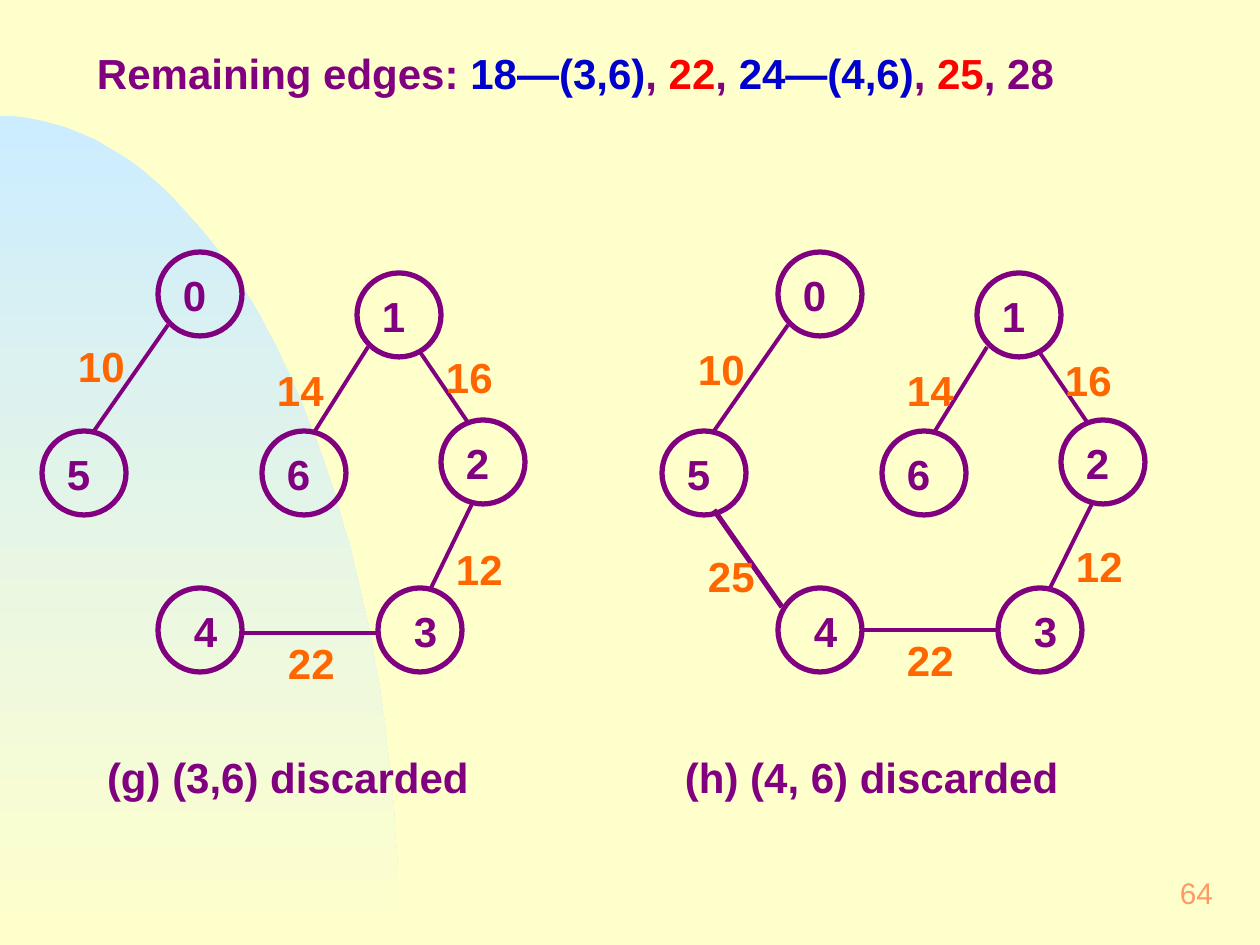
import pptx
import pptx.util
import pptx.dml.color
import pptx.enum.shapes
import pptx.enum.text
import pptx.oxml.ns
import lxml.etree

# Content
TITLE = [
    ("Remaining edges: ", "purple"), ("18—(3,6)", "blue"), (", ", "purple"),
    ("22", "red"), (", ", "purple"), ("24—(4,6)", "blue"), (", ", "purple"),
    ("25", "red"), (", 28", "purple"),
]
PAGE_NUMBER = "64"

# Node: left, top, label inset, label width (relative to its graph)
NODES = {
    "1": (357, 273, 10, 63),
    "0": (158, 252, 10, 63),
    "5": (42, 431, 10, 63),
    "2": (441, 420, 10, 63),
    "6": (262, 431, 10, 63),
    "4": (158, 588, 21, 63),
    "3": (378, 588, 21, 73),
}

# Edge: weight, start, end, weight position (relative to its graph), line width
GRAPHS = [
    {
        "left": 0,
        "caption": ("(g) (3,6) discarded", 94, 410),
        "edges": [
            ("10", (168, 325), (94, 431), (63, 333), 2.25),
            ("12", (472, 504), (431, 588), (441, 536), 2.25),
            ("14", (368, 347), (315, 431), (262, 357), 2.25),
            ("16", (420, 352), (467, 421), (431, 344), 2.25),
            ("22", (378, 633), (242, 633), (273, 630), 2.25),
        ],
    },
    {
        "left": 620,
        "caption": ("(h) (4, 6) discarded", 672, 536),
        "edges": [
            ("10", (168, 325), (94, 431), (63, 336), 2.25),
            ("12", (472, 504), (430, 588), (441, 533), 2.25),
            ("14", (367, 347), (315, 431), (272, 357), 2.25),
            ("16", (420, 353), (467, 422), (430, 347), 2.25),
            ("22", (378, 630), (241, 630), (272, 627), 2.25),
            ("25", (94, 510), (162, 607), (73, 543), 3),
        ],
    },
]

# Theme
THEME = {
    "font": "Arial", "text": 24, "number": 17, "ring": 3,
    "purple": "800080", "blue": "0000CC", "red": "FF0000", "orange": "FF6600",
    "peach": "FF9966", "sky": "CCECFF", "cream": "FFFFCC",
}
SCALE = 914400 // 126
NODE_SIZE = 84
LABEL_HEIGHT = 66
WEIGHT_WIDTH = 95
CURVE = [(0, 116), (220, 116), (399, 488), (399, 945)]
CURVE_STEPS = 60


def px(length):
    return pptx.util.Emu(round(length * SCALE))


def color(name):
    return pptx.dml.color.RGBColor.from_string(THEME[name])


def add_text(slide, box, runs, inset=(15, 8), size="text", bold=True,
             align=pptx.enum.text.PP_ALIGN.LEFT,
             anchor=pptx.enum.text.MSO_ANCHOR.TOP):
    frame = slide.shapes.add_textbox(*map(px, box)).text_frame
    frame.word_wrap = True
    frame.vertical_anchor = anchor
    frame.margin_left = frame.margin_right = px(inset[0])
    frame.margin_top = frame.margin_bottom = px(inset[1])
    paragraph = frame.paragraphs[0]
    paragraph.alignment = align
    for text, name in runs:
        run = paragraph.add_run()
        run.text = text
        run.font.name = THEME["font"]
        run.font.size = pptx.util.Pt(THEME[size])
        run.font.bold = bold
        run.font.color.rgb = color(name)


def add_edge(slide, start, end, width):
    line = slide.shapes.add_connector(
        pptx.enum.shapes.MSO_CONNECTOR.STRAIGHT, *map(px, start + end))
    line.line.color.rgb = color("purple")
    line.line.width = pptx.util.Pt(width)
    properties = line.element.find(pptx.oxml.ns.qn("p:spPr"))
    lxml.etree.SubElement(properties, pptx.oxml.ns.qn("a:effectLst"))


def add_node(slide, left, top):
    shape = slide.shapes.add_shape(
        pptx.enum.shapes.MSO_SHAPE.OVAL,
        px(left), px(top), px(NODE_SIZE), px(NODE_SIZE))
    shape.shadow.inherit = False
    shape.fill.background()
    shape.line.color.rgb = color("purple")
    shape.line.width = pptx.util.Pt(THEME["ring"])


def curve_point(t):
    weights = ((1 - t) ** 3, 3 * t * (1 - t) ** 2, 3 * t * t * (1 - t), t ** 3)
    return tuple(sum(w * point[axis] for w, point in zip(weights, CURVE))
                 for axis in (0, 1))


def add_backdrop(slide):
    slide.background.fill.solid()
    slide.background.fill.fore_color.rgb = color("cream")
    points = [curve_point(step / CURVE_STEPS) for step in range(CURVE_STEPS + 1)]
    points.append((0, 945))
    builder = slide.shapes.build_freeform(*points[0], scale=SCALE)
    builder.add_line_segments(points[1:], close=True)
    shape = builder.convert_to_shape()
    shape.shadow.inherit = False
    shape.line.fill.background()
    shape.fill.gradient()
    shape.fill.gradient_angle = 270
    for stop, position, name in zip(shape.fill.gradient_stops, (0, 1), ("sky", "cream")):
        stop.position = position
        stop.color.rgb = color(name)


def add_graph(slide, graph):
    left = graph["left"]
    for name, (x, y, inset, width) in NODES.items():
        add_node(slide, left + x, y)
        add_text(slide, (left + x + inset, y + 10, width, LABEL_HEIGHT),
                 [(name, "purple")])
    for weight, start, end, (x, y), width in graph["edges"]:
        add_edge(slide, (left + start[0], start[1]), (left + end[0], end[1]), width)
        add_text(slide, (left + x, y, WEIGHT_WIDTH, LABEL_HEIGHT),
                 [(weight, "orange")])
    caption, x, width = graph["caption"]
    add_text(slide, (x, 746, width, 63), [(caption, "purple")], inset=(13, 6))


def main():
    presentation = pptx.Presentation()
    presentation.slide_width, presentation.slide_height = px(1260), px(945)
    slide = presentation.slides.add_slide(presentation.slide_layouts[6])
    add_backdrop(slide)
    add_text(slide, (966, 861, 262, 63), [(PAGE_NUMBER, "peach")], size="number",
             bold=False, align=pptx.enum.text.PP_ALIGN.RIGHT,
             anchor=pptx.enum.text.MSO_ANCHOR.MIDDLE)
    for graph in GRAPHS:
        add_graph(slide, graph)
    add_text(slide, (84, 42, 1029, 63), TITLE, inset=(13, 6))
    presentation.save("out.pptx")


if __name__ == "__main__":
    main()
